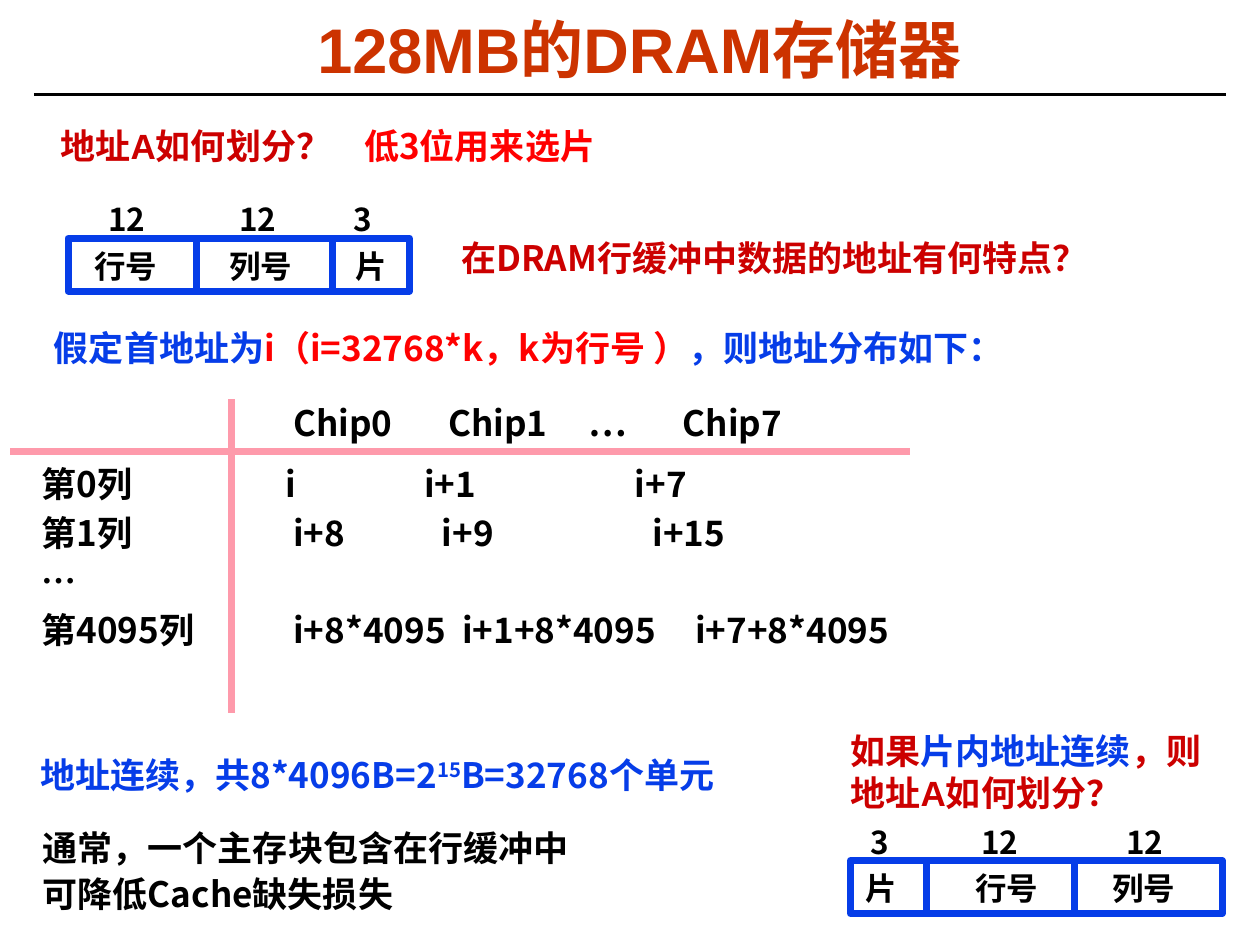
from dataclasses import dataclass
from typing import NamedTuple

from lxml import etree
from pptx import Presentation
from pptx import util as u
from pptx.dml.color import RGBColor
from pptx.enum import shapes, text
from pptx.oxml import ns


@dataclass(frozen=True)
class Theme:
    sans: str = "Arial"
    cjk: str = "Noto Sans CJK SC"
    title: str = "CC3300"
    ask: str = "CC0000"
    red: str = "FF0000"
    blue: str = "063DE8"
    pink: str = "FE9AAB"
    black: str = "000000"
    white: str = "FFFFFF"
    head: int = 36
    body: int = 20
    label: int = 18
    rule: float = 1.5
    thick: float = 4


class Run(NamedTuple):
    words: str
    color: str
    raised: bool = False


class Field(NamedTuple):
    name: str
    bits: str
    right: float    # right edge of the field
    name_x: float   # left of the name box
    bits_x: float   # left of the bit count box


class Row(NamedTuple):
    words: str
    stops: tuple[float, ...] = ()
    pitch: float = 1.0


T = Theme()


def rgb(code: str) -> RGBColor:
    return RGBColor.from_string(code)


def style(run, size: float, color: str, face: str) -> None:
    font = run.font
    font.size, font.bold, font.name = u.Pt(size), True, face
    font.color.rgb = rgb(color)
    etree.SubElement(run._r.get_or_add_rPr(), ns.qn("a:ea"), typeface=T.cjk)


def add_runs(para, runs: list[Run], size: float, face: str) -> None:
    for part in runs:
        run = para.add_run()
        run.text = part.words
        style(run, size, part.color, face)
        if part.raised:
            run._r.get_or_add_rPr().set("baseline", "30000")


def add_text(home, lines: list[list[Run]], x: float, y: float, w: float, h: float,
             *, size: float = T.body, face: str = T.cjk, fill: str = "",
             pad: bool = True, gap: float = 0):
    """Place a text box; each line is a paragraph made of runs."""
    box = home.add_textbox(*map(u.Inches, (x, y, w, h)))
    frame = box.text_frame
    frame.word_wrap = True
    if fill:
        box.fill.solid()
        box.fill.fore_color.rgb = rgb(fill)
    if not pad:
        frame.margin_left = frame.margin_right = 0
        frame.margin_top = frame.margin_bottom = 0
    for i, runs in enumerate(lines):
        para = frame.add_paragraph() if i else frame.paragraphs[0]
        if i:
            para.space_before = u.Pt(gap)
        add_runs(para, runs, size, face)
    return box


def add_line(home, x1: float, y1: float, x2: float, y2: float,
             color: str, width: float) -> None:
    line = home.add_connector(shapes.MSO_CONNECTOR.STRAIGHT,
                              *map(u.Inches, (x1, y1, x2, y2)))
    line.line.color.rgb = rgb(color)
    line.line.width = u.Pt(width)
    etree.SubElement(line._element.spPr, ns.qn("a:effectLst"))


def add_strip(home, x: float, y: float, fields: list[Field]) -> None:
    """Draw an address split into fields, bit counts above."""
    high = 0.42
    wide = fields[-1].right - x
    group = home.add_group_shape().shapes
    frame = group.add_shape(shapes.MSO_SHAPE.RECTANGLE,
                            *map(u.Inches, (x, y, wide, high)))
    frame.shadow.inherit = False
    frame.fill.background()
    frame.line.color.rgb = rgb(T.blue)
    frame.line.width = u.Pt(T.thick)
    for field in fields[:-1]:
        add_line(group, field.right, y, field.right, y + high, T.blue, T.thick)
    for field in fields:
        add_text(group, [[Run(field.bits, T.black)]], field.bits_x, y - 0.35,
                 0.56, 0.4, size=T.label)
        add_text(group, [[Run(field.name, T.black)]], field.name_x, y + 0.02,
                 0.73 if len(field.name) > 1 else 0.44, 0.4, size=T.label)


def add_map(home, rows: list[Row]) -> None:
    """Draw the address map, columns held by tab stops."""
    group = home.add_group_shape().shapes
    box = add_text(group, [[Run(row.words, T.black)] for row in rows],
                   0.23, 3.14, 8, 2.46, gap=3.7)
    for para, row in zip(box.text_frame.paragraphs, rows):
        para.line_spacing = row.pitch
        if row.stops:
            tabs = etree.SubElement(para._p.get_or_add_pPr(), ns.qn("a:tabLst"))
            for stop in row.stops:
                etree.SubElement(tabs, ns.qn("a:tab"),
                                 pos=str(u.Inches(stop)), algn="l")
    add_line(group, 0.08, 3.58, 7.22, 3.58, T.pink, T.thick)
    add_line(group, 1.84, 3.17, 1.84, 5.66, T.pink, T.thick)


def main() -> None:
    deck = Presentation()
    deck.slide_width, deck.slide_height = u.Inches(10), u.Inches(7.5)
    slide = deck.slides.add_slide(deck.slide_layouts[5])
    home = slide.shapes

    # Title and rule
    title = home.title
    title.left, title.top = u.Inches(0.26), u.Inches(0.12)
    title.width, title.height = u.Inches(9.63), u.Inches(0.62)
    title.text_frame.vertical_anchor = text.MSO_ANCHOR.MIDDLE
    para = title.text_frame.paragraphs[0]
    para.alignment, para.line_spacing = text.PP_ALIGN.CENTER, 0.87
    add_runs(para, [Run("128MB的DRAM存储器", T.title)], T.head, T.sans)
    add_line(home, 0.27, 0.75, 9.73, 0.75, T.black, T.rule)

    # How the address is split
    add_text(home, [[Run("地址A如何划分？", T.ask)]], 0.48, 0.99, 2.31, 0.33,
             face=T.sans, fill=T.white, pad=False)
    add_text(home, [[Run("低3位用来选片", T.red)]], 2.89, 0.99, 1.92, 0.67,
             fill=T.white, pad=False)
    add_strip(home, 0.54, 1.89, [Field("行号", "12", 1.56, 0.65, 0.76),
                                 Field("列号", "12", 2.64, 1.72, 1.8),
                                 Field("片", "3", 3.25, 2.72, 2.71)])

    # Addresses in the row buffer
    add_text(home, [[Run("在DRAM行缓冲中数据的地址有何特点？", T.ask)]],
             3.66, 1.88, 5.13, 0.33, fill=T.white, pad=False)
    add_text(home, [[Run("假定首地址为", T.blue),
                     Run("i（i=32768*k，k为行号 ）", T.red),
                     Run("，则地址分布如下：", T.blue)]], 0.33, 2.54, 8.2, 0.44)
    add_map(home, [
        Row("\tChip0\tChip1\t…\tChip7", (2, 3.23, 4.34, 5.09)),
        Row("第0列\ti\ti+1\ti+7", (1.94, 3.04, 4.71), 1.3),
        Row("第1列\ti+8\ti+9\ti+15", (2, 3.18, 4.85)),
        Row("…"),
        Row("第4095列\ti+8*4095\ti+1+8*4095\ti+7+8*4095", (2, 3.34, 5.19)),
    ])

    # Conclusions
    add_text(home, [[Run("地址连续，共8*4096B=2", T.blue),
                     Run("15", T.blue, True),
                     Run("B=32768个单元", T.blue)]], 0.22, 5.93, 5.94, 0.44)
    add_text(home, [[Run("通常，一个主存块包含在行缓冲中", T.black)],
                    [Run("可降低Cache缺失损失", T.black)]],
             0.24, 6.51, 4.81, 0.8, gap=2.5)

    # The other split
    add_text(home, [[Run("如果", T.ask), Run("片内地址连续", T.blue),
                     Run("，则地址A如何划分？", T.ask)]],
             6.75, 5.79, 3.01, 0.67, face=T.sans, fill=T.white, pad=False)
    add_strip(home, 6.75, 6.83, [Field("片", "3", 7.35, 6.77, 6.81),
                                 Field("行号", "12", 8.53, 7.64, 7.69),
                                 Field("列号", "12", 9.7, 8.73, 8.84)])

    deck.save("out.pptx")


if __name__ == "__main__":
    main()
